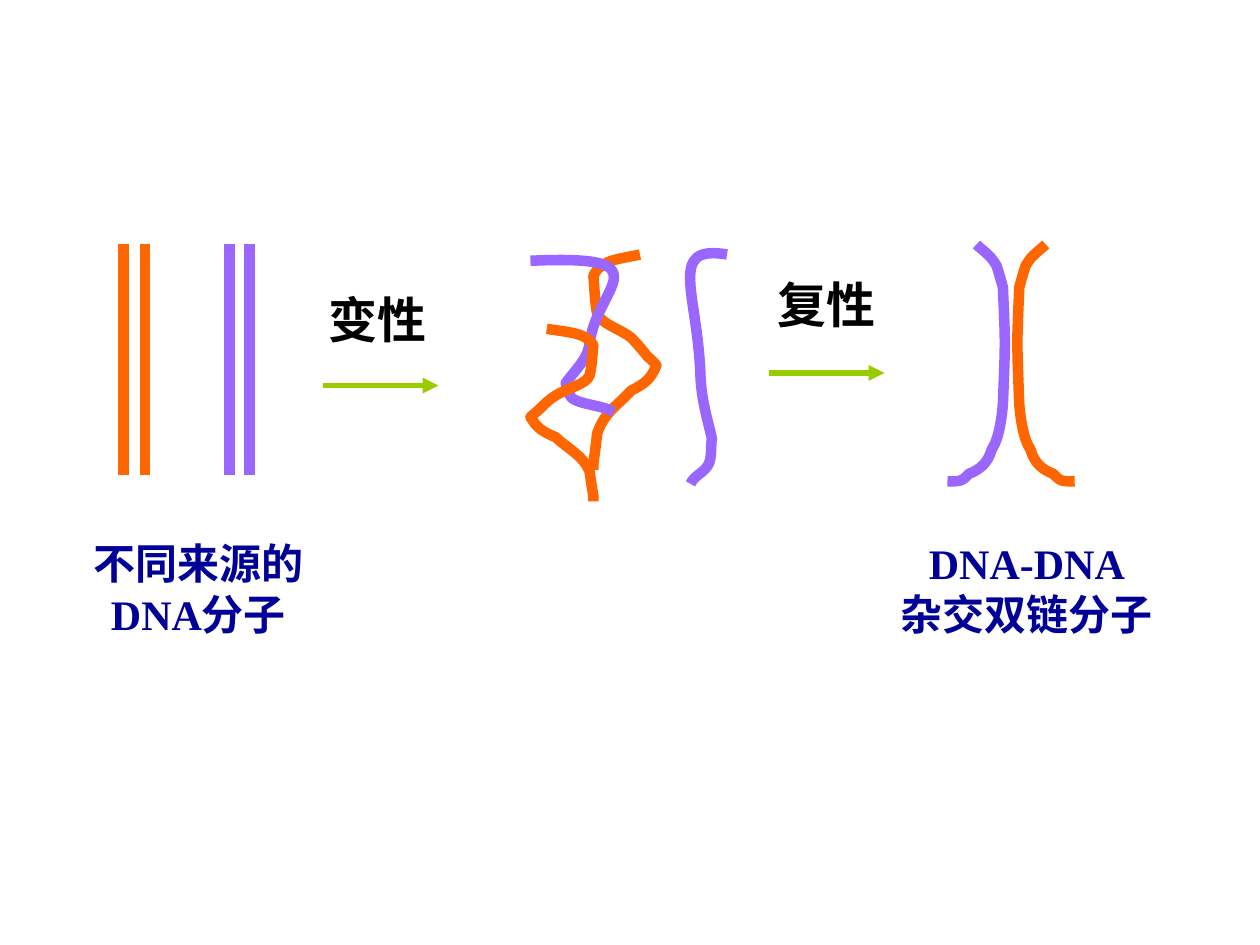
from dataclasses import dataclass

from lxml.etree import SubElement
from pptx import Presentation
from pptx.dml.color import RGBColor
from pptx.enum.shapes import MSO_CONNECTOR
from pptx.enum.text import PP_ALIGN
from pptx.oxml.ns import qn
from pptx.util import Inches, Pt


@dataclass(frozen=True)
class Theme:
    orange: str = "FF6600"
    violet: str = "9966FF"
    green: str = "99CC00"
    navy: str = "000099"
    black: str = "000000"
    latin: str = "Times New Roman"
    cjk: str = "Noto Sans CJK SC"
    label_size: int = 24
    step_size: int = 28
    strand_width: int = 6
    arrow_width: int = 3


THEME = Theme()

# Strands: a start point, then cubic segments (two controls and an end)
SEPARATED_STRANDS = [
    (THEME.orange, (5.08, 2.02), [
        (4.9, 2.06, 4.77, 2.06, 4.71, 2.19), (4.72, 2.29, 4.72, 2.39, 4.74, 2.49),
        (4.77, 2.57, 4.94, 2.62, 5.01, 2.68), (5.06, 2.73, 5.1, 2.78, 5.14, 2.83),
        (5.17, 2.85, 5.21, 2.9, 5.21, 2.9), (5.17, 3, 5.13, 3.04, 5.01, 3.1),
        (4.89, 3.23, 4.8, 3.27, 4.74, 3.44), (4.71, 3.71, 4.71, 3.62, 4.71, 3.73)]),
    (THEME.violet, (5.77, 2.02), [
        (5.29, 1.94, 5.54, 2.32, 5.56, 3), (5.57, 3.18, 5.61, 3.31, 5.65, 3.48),
        (5.64, 3.54, 5.65, 3.61, 5.63, 3.67), (5.6, 3.75, 5.51, 3.77, 5.48, 3.84)]),
    (THEME.violet, (4.21, 2.07), [
        (5.29, 2.02, 4.74, 2.27, 4.68, 2.72), (4.67, 2.84, 4.58, 2.92, 4.49, 3.04),
        (4.51, 3.08, 4.5, 3.12, 4.54, 3.16), (4.6, 3.21, 4.8, 3.22, 4.87, 3.27)]),
    (THEME.orange, (4.34, 2.61), [
        (4.52, 2.64, 4.65, 2.64, 4.71, 2.74), (4.7, 2.82, 4.7, 2.9, 4.68, 2.98),
        (4.66, 3.05, 4.48, 3.09, 4.41, 3.14), (4.36, 3.17, 4.32, 3.21, 4.28, 3.25),
        (4.26, 3.27, 4.21, 3.31, 4.21, 3.31), (4.26, 3.39, 4.29, 3.42, 4.41, 3.47),
        (4.53, 3.58, 4.62, 3.61, 4.68, 3.74), (4.71, 3.97, 4.71, 3.89, 4.71, 3.98)]),
]
HYBRID_START = (7.75, 1.94)
HYBRID_CURVES = [
    (7.78, 1.97, 7.81, 1.99, 7.84, 2.02), (7.87, 2.04, 7.91, 2.11, 7.91, 2.11),
    (7.93, 2.17, 7.96, 2.28, 7.96, 2.28), (7.98, 2.75, 7.98, 2.68, 7.96, 3.21),
    (7.95, 3.32, 7.93, 3.48, 7.87, 3.57), (7.84, 3.68, 7.77, 3.73, 7.69, 3.76),
    (7.63, 3.83, 7.6, 3.82, 7.52, 3.82)]
HYBRID_MIRROR_SUM = 16.05  # x of a point plus x of its mirror point


def add_text(s, text, left, top, width, height, *, size, color,
             font=THEME.latin, align=PP_ALIGN.LEFT):
    tf = s.shapes.add_textbox(*map(Inches, (left, top, width, height))).text_frame
    tf.word_wrap = True
    for i, line in enumerate(text.split("\n")):
        p = tf.add_paragraph() if i else tf.paragraphs[0]
        p.alignment = align
        r = p.add_run()
        r.text = line
        r.font.name, r.font.size, r.font.bold = font, Pt(size), True
        r.font.color.rgb = RGBColor.from_string(color)
        SubElement(r.font._element, qn("a:ea"), typeface=THEME.cjk)


def style_line(line, color, width):
    line.color.rgb = RGBColor.from_string(color)
    line.width = Pt(width)


def add_line(s, x1, y1, x2, y2, color, width, arrow=False):
    sp = s.shapes.add_connector(MSO_CONNECTOR.STRAIGHT, *map(Inches, (x1, y1, x2, y2)))
    style_line(sp.line, color, width)
    if arrow:
        SubElement(sp.line._get_or_add_ln(), qn("a:tailEnd"), type="triangle")
    SubElement(sp._element.spPr, qn("a:effectLst"))


def bend_segments(sp):
    """Turn each three straight segments into one cubic curve."""
    segments = list(sp._element.iter(qn("a:lnTo")))
    for i in range(0, len(segments), 3):
        curve = SubElement(segments[i].getparent(), qn("a:cubicBezTo"))
        for segment in segments[i:i + 3]:
            curve.append(segment[0])
            segment.getparent().remove(segment)


def add_strand(s, color, start, curves):
    points = [start]
    for curve in curves:
        points += zip(curve[::2], curve[1::2])
    first, *rest = [(Inches(x), Inches(y)) for x, y in points]
    builder = s.shapes.build_freeform(*first)
    builder.add_line_segments(rest, close=False)
    sp = builder.convert_to_shape()
    bend_segments(sp)
    sp.shadow.inherit = False
    sp.fill.background()
    style_line(sp.line, color, THEME.strand_width)


def mirror(values):
    """Reflect the x values of an x, y, x, y... sequence."""
    return tuple(v if i % 2 else HYBRID_MIRROR_SUM - v for i, v in enumerate(values))


def add_step(s, text, text_left, text_top, text_width, arrow_left, arrow_y, font):
    """A process name above its arrow."""
    add_line(s, arrow_left, arrow_y, arrow_left + 0.92, arrow_y,
             THEME.green, THEME.arrow_width, arrow=True)
    add_text(s, text, text_left, text_top, text_width, 0.57,
             size=THEME.step_size, color=THEME.black, font=font)


def add_caption(s, text, left, width):
    add_text(s, text, left, 4.22, width, 0.9, size=THEME.label_size,
             color=THEME.navy, align=PP_ALIGN.CENTER)


def main():
    prs = Presentation()
    prs.slide_width, prs.slide_height = Inches(10), Inches(7.5)
    s = prs.slides.add_slide(prs.slide_layouts[6])

    add_caption(s, "DNA-DNA\n杂交双链分子", 6.81, 2.68)

    # Two double-stranded molecules
    for x, color in ((0.98, THEME.orange), (1.15, THEME.orange),
                     (1.82, THEME.violet), (1.98, THEME.violet)):
        add_line(s, x, 1.94, x, 3.77, color, THEME.strand_width)

    # Denaturation and renaturation
    add_step(s, "变性", 2.51, 2.25, 1.41, 2.56, 3.06, THEME.latin)
    add_step(s, "复性", 6.07, 2.13, 1.24, 6.1, 2.96, THEME.cjk)

    # Separated single strands
    for color, start, curves in SEPARATED_STRANDS:
        add_strand(s, color, start, curves)

    # Hybrid molecule: one strand and its mirror image
    add_strand(s, THEME.violet, HYBRID_START, HYBRID_CURVES)
    add_strand(s, THEME.orange, mirror(HYBRID_START), map(mirror, HYBRID_CURVES))

    add_caption(s, "不同来源的DNA分子", 0.59, 1.97)

    prs.save("out.pptx")


if __name__ == "__main__":
    main()
